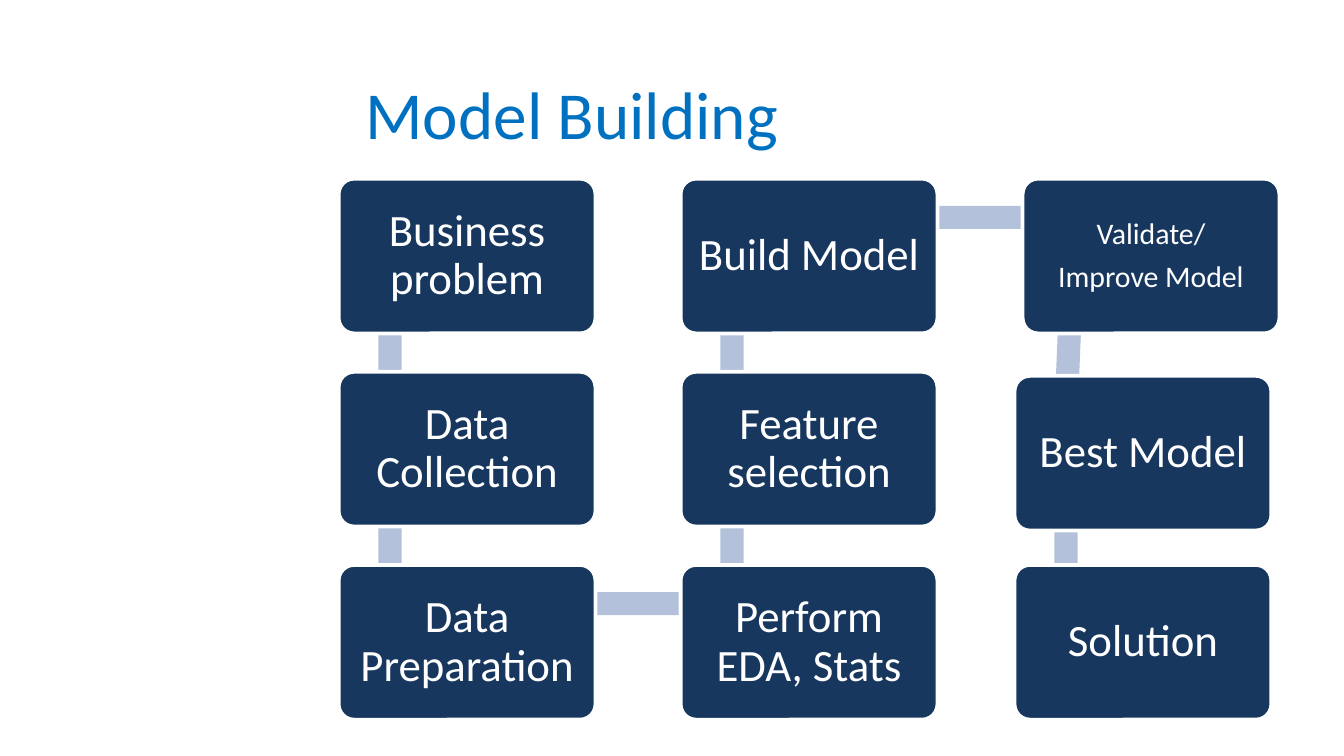
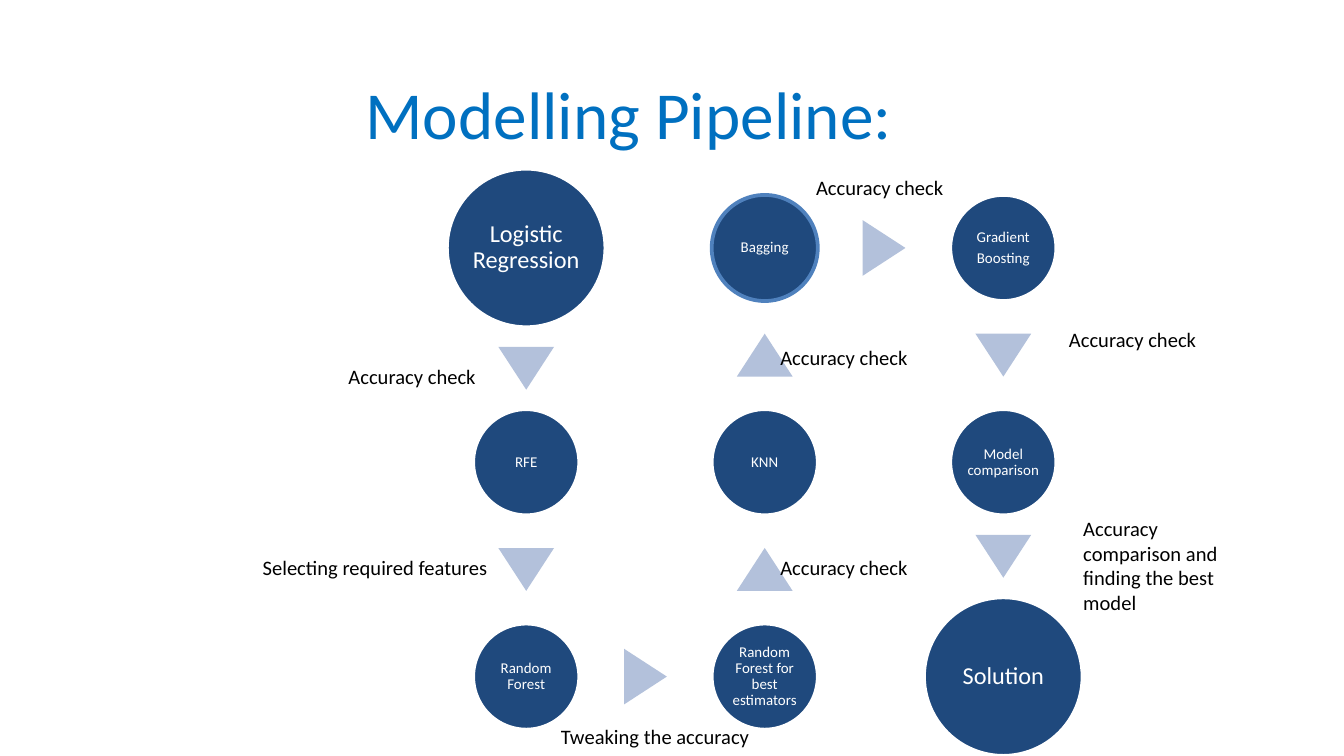
from math import atan2, degrees, hypot
from typing import NamedTuple

from pptx import Presentation
from pptx.dml.color import RGBColor
from pptx.enum.shapes import MSO_SHAPE
from pptx.enum.text import MSO_ANCHOR, MSO_AUTO_SIZE, PP_ALIGN
from pptx.util import Inches, Pt

# Shared look
FONT = "Calibri"
TITLE_BLUE = RGBColor(0x00, 0x70, 0xC0)
TILE_NAVY = RGBColor(0x17, 0x37, 0x5E)
CIRCLE_NAVY = RGBColor(0x1F, 0x49, 0x7D)
RING_BLUE = RGBColor(0x4F, 0x81, 0xBD)
PALE_BLUE = RGBColor(0xB3, 0xC1, 0xDB)
WHITE = RGBColor(0xFF, 0xFF, 0xFF)
BLACK = RGBColor(0x00, 0x00, 0x00)

WIDTH, HEIGHT = Inches(10), Inches(5.625)

# Steps run down the first column, up the second and down the third
SNAKE = [(0, 0), (0, 1), (0, 2), (1, 2), (1, 1), (1, 0), (2, 0), (2, 1), (2, 2)]


class Box(NamedTuple):
    left: float
    top: float
    width: float
    height: float


def area(left, top, width, height):
    """Box given in percent of the slide's size."""
    return Box(WIDTH * left / 100, HEIGHT * top / 100,
               WIDTH * width / 100, HEIGHT * height / 100)


TITLE_AREA = area(26.2, 7.82, 68.7, 14.04)
TILE_AREA = area(25.2, 23.64, 70, 71.56)
CIRCLE_CENTRES = area(39.15, 32.8, 35.5, 56.7)


def style_text(frame, size, color, align, inset=None):
    frame.word_wrap = True
    if inset is not None:
        frame.margin_left = frame.margin_right = Inches(inset)
        frame.margin_top = frame.margin_bottom = Inches(inset)
    for paragraph in frame.paragraphs:
        paragraph.alignment = align
        for run in paragraph.runs:
            run.font.name = FONT
            run.font.size = Pt(size)
            run.font.color.rgb = color


def add_centred(slide, kind, x, y, width, height, fill, outline=None, rotation=0):
    """Preset shape centred on a point, without a shadow."""
    shape = slide.shapes.add_shape(kind, round(x - width / 2), round(y - height / 2),
                                   round(width), round(height))
    shape.shadow.inherit = False
    shape.rotation = rotation
    shape.fill.solid()
    shape.fill.fore_color.rgb = fill
    if outline is None:
        shape.line.fill.background()
    else:
        shape.line.color.rgb = outline
        shape.line.width = Pt(2)
    return shape


def write_step(shape, words, size, inset):
    frame = shape.text_frame
    frame.text = words
    frame.vertical_anchor = MSO_ANCHOR.MIDDLE
    style_text(frame, size, WHITE, PP_ALIGN.CENTER, inset)
    for paragraph in frame.paragraphs:
        paragraph.line_spacing = 0.9
        paragraph.space_after = Pt(0.35 * size)


def add_titled_slide(deck, words):
    slide = deck.slides.add_slide(deck.slide_layouts[5])
    title = slide.shapes.title
    title.left, title.top, title.width, title.height = map(round, TITLE_AREA)
    frame = title.text_frame
    frame.text = words
    frame.auto_size = MSO_AUTO_SIZE.NONE
    frame.vertical_anchor = MSO_ANCHOR.MIDDLE
    style_text(frame, 36, TITLE_BLUE, PP_ALIGN.LEFT)
    return slide


def add_tile_flow(slide, box, steps):
    """Snake of tiles joined by bars; a step is words, size, inset, shift."""
    tile_w, tile_h = box.width * 0.273, box.height * 0.286
    column, row = (box.width - tile_w) / 2, (box.height - tile_h) / 2
    corners = [(box.left + c * column + Inches(dx), box.top + r * row + Inches(dy))
               for (c, r), (_, _, _, (dx, dy)) in zip(SNAKE, steps)]

    # Bars lie behind the tiles, a fifth and a quarter of a tile from the corner
    for (x1, y1), (x2, y2) in zip(corners, corners[1:]):
        add_centred(slide, MSO_SHAPE.RECTANGLE,
                    (x1 + x2) / 2 + tile_w * 0.2, (y1 + y2) / 2 + tile_h * 0.25,
                    hypot(x2 - x1, y2 - y1), tile_h * 0.15, PALE_BLUE,
                    rotation=degrees(atan2(y2 - y1, x2 - x1)))

    for (x, y), (words, size, inset, _) in zip(corners, steps):
        tile = add_centred(slide, MSO_SHAPE.ROUNDED_RECTANGLE, x + tile_w / 2,
                           y + tile_h / 2, tile_w, tile_h, TILE_NAVY, WHITE)
        tile.adjustments[0] = 0.1
        write_step(tile, words, size, inset)


def add_circle_flow(slide, box, steps):
    """Snake of circles with arrowheads midway; the two ends are larger."""
    column, row = box.width / 2, box.height / 2
    small, large = row * 0.495, row * 0.74
    last = len(steps) - 1
    circles = []
    for index, ((c, r), (words, ring)) in enumerate(zip(SNAKE, steps)):
        is_end = index in (0, last)
        x, y = box.left + c * column, box.top + r * row
        diameter = large if is_end else small
        circle = add_centred(slide, MSO_SHAPE.OVAL, x, y, diameter, diameter,
                             CIRCLE_NAVY, ring)
        write_step(circle, words, 13 if is_end else 8, 0.02 if is_end else 0.01)
        circles.append((x, y, diameter / 2))

    # Each arrowhead sits halfway between the facing edges
    for (x1, y1, r1), (x2, y2, r2) in zip(circles, circles[1:]):
        span = hypot(x2 - x1, y2 - y1)
        share = (span + r1 - r2) / 2 / span
        add_centred(slide, MSO_SHAPE.ISOSCELES_TRIANGLE,
                    x1 + (x2 - x1) * share, y1 + (y2 - y1) * share,
                    row * 0.26, row * 0.2, PALE_BLUE,
                    rotation=(degrees(atan2(y2 - y1, x2 - x1)) + 90) % 360)


def add_notes_beside(slide, box, remarks):
    """Captions placed in columns and rows counted from the first circle."""
    column, row = box.width / 2, box.height / 2
    for words, c, r, columns, rows in remarks:
        caption = slide.shapes.add_textbox(
            round(box.left + c * column), round(box.top + r * row),
            round(columns * column), round(rows * row))
        caption.text_frame.text = words
        style_text(caption.text_frame, 11, BLACK, PP_ALIGN.LEFT)


deck = Presentation()
deck.slide_width, deck.slide_height = WIDTH, HEIGHT

# Slide 1: model building
building = add_titled_slide(deck, "Model Building")
IN_GRID = (0, 0)
add_tile_flow(building, TILE_AREA, [
    ("Business problem", 24, 0.1, IN_GRID),
    ("Data Collection", 24, 0.1, IN_GRID),
    ("Data Preparation", 24, 0.1, IN_GRID),
    ("Perform EDA, Stats", 24, 0.1, IN_GRID),
    ("Feature selection", 24, 0.1, IN_GRID),
    ("Build Model", 24, 0.1, IN_GRID),
    ("Validate/\nImprove Model", 16, 0.07, IN_GRID),
    ("Best Model", 24, 0.1, (-0.06, 0.03)),
    ("Solution", 24, 0.1, (-0.06, 0)),
])

# Slide 2: modelling pipeline
pipeline = add_titled_slide(deck, "Modelling Pipeline:")
add_circle_flow(pipeline, CIRCLE_CENTRES, [
    ("Logistic Regression", WHITE),
    ("RFE", WHITE),
    ("Random Forest", WHITE),
    ("Random Forest for best estimators", WHITE),
    ("KNN", WHITE),
    ("Bagging", RING_BLUE),
    ("Gradient\nBoosting", WHITE),
    ("Model comparison", WHITE),
    ("Solution", WHITE),
])
CHECK = "Accuracy check"
add_notes_beside(pipeline, CIRCLE_CENTRES, [
    (CHECK, -0.8, 0.51, 0.74, 0.18),
    ("Selecting required features", -1.16, 1.4, 1.25, 0.18),
    ("Tweaking the accuracy", 0.09, 2.19, 0.92, 0.18),
    (CHECK, 1.01, 1.4, 0.74, 0.18),
    (CHECK, 1.01, 0.42, 0.74, 0.18),
    (CHECK, 1.16, -0.37, 0.74, 0.18),
    (CHECK, 2.22, 0.34, 0.74, 0.18),
    ("Accuracy comparison and finding the best model", 2.28, 1.22, 0.74, 0.53),
])

deck.save("out.pptx")
